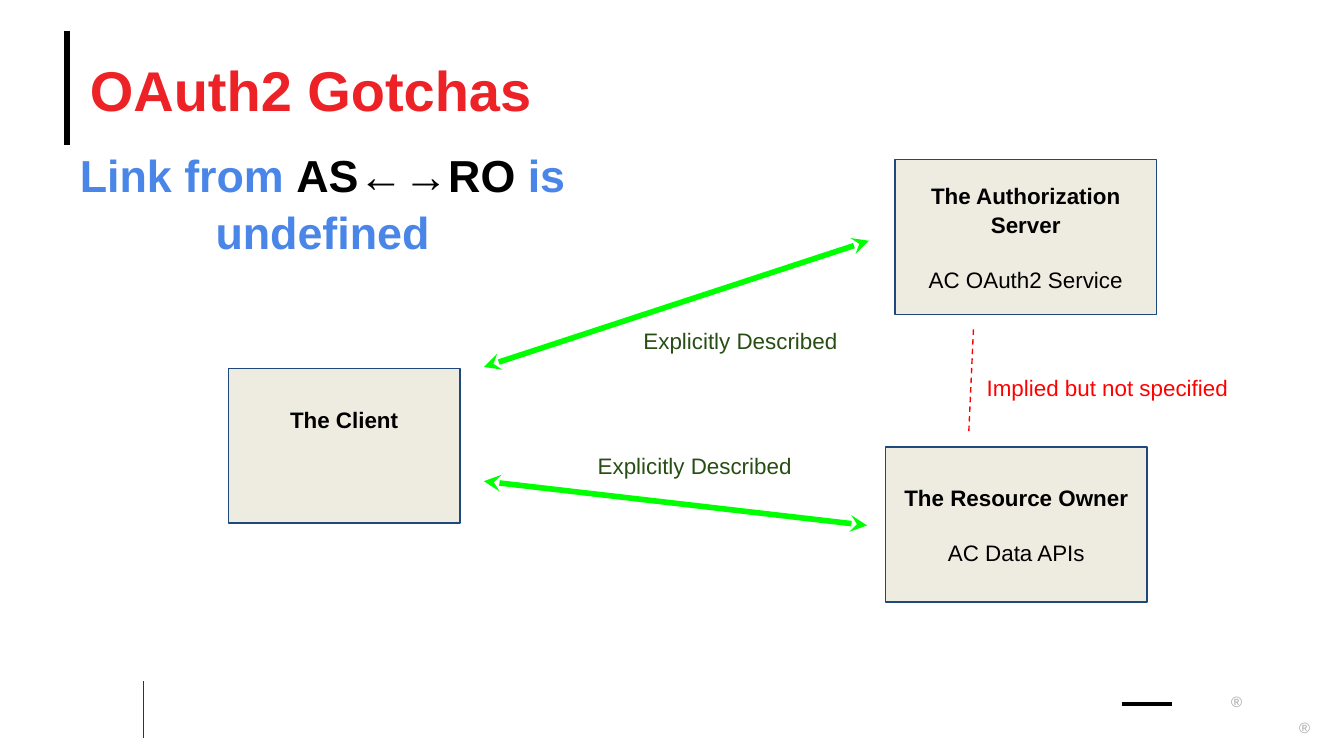
from lxml import etree
from pptx import Presentation
from pptx.dml.color import RGBColor
from pptx.enum import dml, shapes, text
from pptx.oxml.ns import qn
from pptx.util import Pt

C = {"black": "000000", "title": "EC2227", "blue": "4A86E8", "box": "EEECE1",
     "border": "1F497D", "rule": "3D3029", "mark": "A6A6A6", "green": "00FF00",
     "red": "FF0000", "label": "274E13"}
AL = text.PP_ALIGN

prs = Presentation()
prs.slide_width, prs.slide_height = Pt(720), Pt(405)
s = prs.slides.add_slide(prs.slide_layouts[6])


def add_text(box, runs, size, bold=False, align=AL.LEFT, inset=7.2, anchor=text.MSO_ANCHOR.TOP):
    """Add a one-paragraph text box; runs is a list of (text, colour)."""
    tf = s.shapes.add_textbox(*map(Pt, box)).text_frame
    tf.word_wrap = True
    tf.vertical_anchor = anchor
    tf.margin_left = tf.margin_right = tf.margin_top = tf.margin_bottom = Pt(inset)
    p = tf.paragraphs[0]
    p.alignment = align
    p.font.name, p.font.size, p.font.bold = "Arial", Pt(size), bold
    for words, color in runs:
        r = p.add_run()
        r.text = words
        r.font.color.rgb = RGBColor.from_string(C[color])
    return p


def add_line(x1, y1, x2, y2, color, width, arrows=False):
    """Add a straight line, with stealth heads at both ends if wanted."""
    c = s.shapes.add_connector(shapes.MSO_CONNECTOR.STRAIGHT, Pt(x1), Pt(y1), Pt(x2), Pt(y2))
    c.line.color.rgb = RGBColor.from_string(C[color])
    c.line.width = Pt(width)
    if arrows:
        ln = c.line._get_or_add_ln()
        for end in ("a:headEnd", "a:tailEnd"):
            etree.SubElement(ln, qn(end), type="stealth")
    etree.SubElement(c._element.spPr, qn("a:effectLst"))
    return c


# Frame rules and registered marks
add_line(36, 16.5, 36, 77.8, "black", 3.25)
add_line(77, 365, 77, 395.5, "rule", 0.5)
add_line(601, 377.3, 628, 377.3, "black", 2)
for x, y in [(659.5, 370.8), (696, 385.2)]:
    add_text((x, y, 10, 10), [("®", "mark")], 8, inset=0)

# Title and statement
add_text((48.2, 16.5, 648, 62), [("OAuth2 Gotchas", "title")], 30, True,
         inset=0, anchor=text.MSO_ANCHOR.MIDDLE)
p = add_text((0, 70.6, 345.6, 70.6),
             [("Link from ", "blue"), ("AS←→RO", "black"), (" is undefined", "blue")],
             24, True, AL.CENTER)
p.line_spacing = 1.05

# Parties: left, top, width, name, service
for x, y, w, name, service in [
    (122.4, 197.3, 124, "The Client", None),
    (479.5, 85.5, 140, "The Authorization Server", "AC OAuth2 Service"),
    (474.5, 239.5, 140, "The Resource Owner", "AC Data APIs"),
]:
    sp = s.shapes.add_shape(shapes.MSO_SHAPE.RECTANGLE, Pt(x), Pt(y), Pt(w), Pt(83))
    sp.shadow.inherit = False
    sp.fill.solid()
    sp.fill.fore_color.rgb = RGBColor.from_string(C["box"])
    sp.line.color.rgb = RGBColor.from_string(C["border"])
    sp.line.width = Pt(0.75)
    tf = sp.text_frame
    tf.word_wrap = True
    tf.vertical_anchor = text.MSO_ANCHOR.MIDDLE
    tf.margin_left = tf.margin_right = tf.margin_top = tf.margin_bottom = Pt(7.2)
    if service is None:
        tf.margin_bottom = Pt(36)
    for i, words in enumerate(filter(None, (name, service))):
        p = tf.add_paragraph() if i else tf.paragraphs[0]
        p.text = words
        p.alignment = AL.CENTER
        p.line_spacing = 1.05
        if i:
            p.space_before = Pt(14.5)
        p.font.name, p.font.size, p.font.bold = "Arial", Pt(12), i == 0
        p.font.color.rgb = RGBColor.from_string(C["black"])

# Links between the parties
add_line(259.2, 196.6, 465.5, 129, "green", 3, arrows=True)
add_line(259.2, 257.8, 464.5, 281.5, "green", 3, arrows=True)
implied = add_line(521.5, 176.5, 519, 231.5, "red", 0.75)
implied.line.dash_style = dml.MSO_LINE.DASH

# Link labels
add_text((521.5, 193, 178.5, 25), [("Implied but not specified", "red")], 12)
for x, y, w in [(288, 167.8, 167.8), (291.6, 234.8, 139.7)]:
    add_text((x, y, w, 25), [("Explicitly Described", "label")], 12, align=AL.RIGHT)

prs.save("out.pptx")
